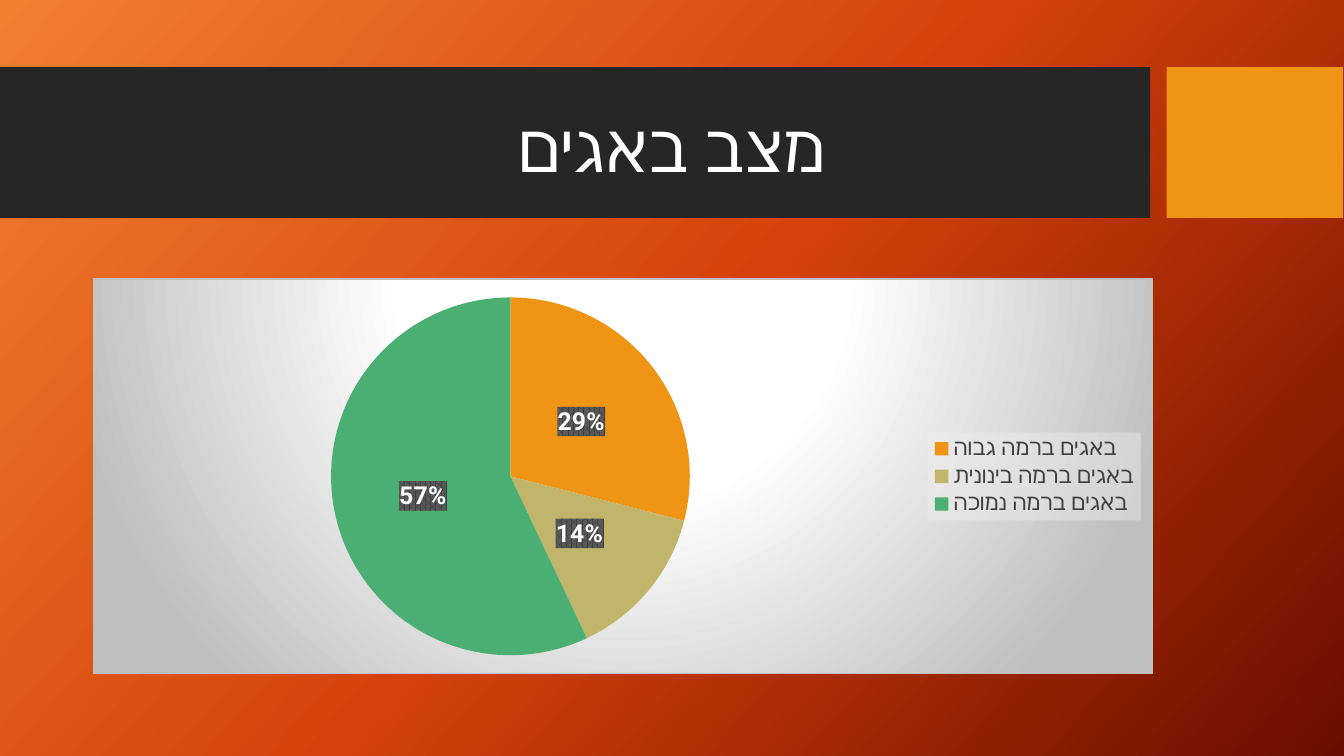
from pptx import Presentation
from pptx.chart.data import CategoryChartData
from pptx.dml.color import RGBColor
from pptx.enum.chart import XL_CHART_TYPE, XL_LABEL_POSITION, XL_LEGEND_POSITION
from pptx.enum.shapes import MSO_SHAPE
from pptx.enum.text import MSO_ANCHOR, MSO_AUTO_SIZE, PP_ALIGN
from pptx.oxml import parse_xml
from pptx.oxml.ns import nsdecls, qn
from pptx.util import Cm, Pt

COLORS = {
    "band": "262626", "high": "F09415", "medium": "C1B56B", "low": "4BAF73",
    "white": "FFFFFF", "grey": "BFBFBF", "legend": "F2F2F2",
    "label": "404040", "label_line": "595959",
    "glow": "F18031", "ember": "D54209", "dusk": "6A0D00",
}
SEVERITIES = [
    ("באגים ברמה גבוה", 29, "high"),
    ("באגים ברמה בינונית", 14, "medium"),
    ("באגים ברמה נמוכה", 57, "low"),
]


def color_xml(name, inner=""):
    return f'<a:srgbClr val="{COLORS[name]}">{inner}</a:srgbClr>'


def gradient_xml(stops, direction):
    marks = "".join(f'<a:gs pos="{pos * 1000}">{color_xml(name)}</a:gs>' for pos, name in stops)
    return f'<a:gradFill {nsdecls("a")} rotWithShape="1"><a:gsLst>{marks}</a:gsLst>{direction}</a:gradFill>'


class BugSlide:
    font_name = "Roboto"

    def __init__(self, deck):
        self.slide = deck.slides.add_slide(deck.slide_layouts[5])

    def style(self, font, size, color, bold=False):
        font.name = self.font_name
        font.size = Pt(size)
        font.bold = bold
        font.color.rgb = RGBColor.from_string(COLORS[color])

    def background(self, stops, angle):
        self.slide.background.fill.solid()
        properties = self.slide.element.find(".//" + qn("p:bgPr"))
        direction = f'<a:lin ang="{angle * 60000}" scaled="0"/>'
        properties.replace(properties[0], parse_xml(gradient_xml(stops, direction)))

    def block(self, left, top, width, height, color):
        block = self.slide.shapes.add_shape(
            MSO_SHAPE.RECTANGLE, Cm(left), Cm(top), Cm(width), Cm(height))
        block.shadow.inherit = False
        block.fill.solid()
        block.fill.fore_color.rgb = RGBColor.from_string(COLORS[color])
        block.line.fill.background()

    def title(self, text, left, top, width, height):
        title = self.slide.shapes.title
        title.left, title.top, title.width, title.height = Cm(left), Cm(top), Cm(width), Cm(height)
        self.slide.shapes.element.append(title.element)
        frame = title.text_frame
        frame.text = text
        frame.auto_size = MSO_AUTO_SIZE.NONE
        frame.vertical_anchor = MSO_ANCHOR.BOTTOM
        frame.margin_left = frame.margin_right = frame.margin_bottom = 0
        frame.margin_top = Cm(0.13)
        heading = frame.paragraphs[0]
        heading.alignment = PP_ALIGN.CENTER
        heading.line_spacing = 0.9
        heading.runs[0].font.language_id = None
        heading._p.get_or_add_pPr().set("rtl", "1")
        self.style(heading.runs[0].font, 36, "white")

    def paint(self, part, fill, line=""):
        properties = parse_xml(f'<c:spPr {nsdecls("c", "a")}>{fill}{line}</c:spPr>')
        part.find(qn("c:txPr")).addprevious(properties)

    def pie(self, severities, left, top, width, height):
        data = CategoryChartData()
        data.categories = [name for name, share, color in severities]
        data.add_series("Series 1", [share for name, share, color in severities])
        chart = self.slide.shapes.add_chart(
            XL_CHART_TYPE.PIE, Cm(left), Cm(top), Cm(width), Cm(height), data).chart
        chart.has_title = False
        self.style(chart.font, 10, "white")
        plot = chart.plots[0]
        plot.vary_by_categories = True
        shares = plot.series[0]
        for index, (name, share, color) in enumerate(severities):
            fill = shares.points[index].format.fill
            fill.solid()
            fill.fore_color.rgb = RGBColor.from_string(COLORS[color])

        labels = shares.data_labels
        labels.show_percentage = True
        labels.show_value = False
        labels.number_format = "0%"
        labels.number_format_is_linked = False
        labels.position = XL_LABEL_POSITION.CENTER
        self.style(labels.font, 13.3, "white", bold=True)

        chart.has_legend = True
        chart.legend.position = XL_LEGEND_POSITION.RIGHT
        chart.legend.include_in_layout = False
        self.style(chart.legend.font, 12, "label")

        space = chart.element
        self.paint(space, gradient_xml(
            [(0, "white"), (39, "white"), (100, "grey")],
            '<a:path path="circle"><a:fillToRect l="50000" t="-80000" r="50000" b="180000"/></a:path>'),
            f'<a:ln w="9525"><a:solidFill>{color_xml("grey")}</a:solidFill></a:ln>')
        self.paint(space.find(".//" + qn("c:dLbls")),
                   f'<a:pattFill prst="pct75"><a:fgClr>{color_xml("label")}</a:fgClr>'
                   f'<a:bgClr>{color_xml("label_line")}</a:bgClr></a:pattFill>')
        legend_color = color_xml("legend", '<a:alpha val="39000"/>')
        self.paint(space.find(".//" + qn("c:legend")), f"<a:solidFill>{legend_color}</a:solidFill>")


def main():
    deck = Presentation()
    deck.slide_width, deck.slide_height = Cm(25.4), Cm(14.29)
    bugs = BugSlide(deck)
    bugs.background([(0, "glow"), (50, "ember"), (100, "dusk")], 42)
    bugs.block(0, 1.27, 21.74, 2.85, "band")
    bugs.block(22.05, 1.27, 3.33, 2.85, "high")
    bugs.title("מצב באגים", 0.15, 1.88, 25.1, 1.65)
    bugs.pie(SEVERITIES, 1.75, 5.26, 20.04, 7.49)
    deck.save("out.pptx")


if __name__ == "__main__":
    main()
